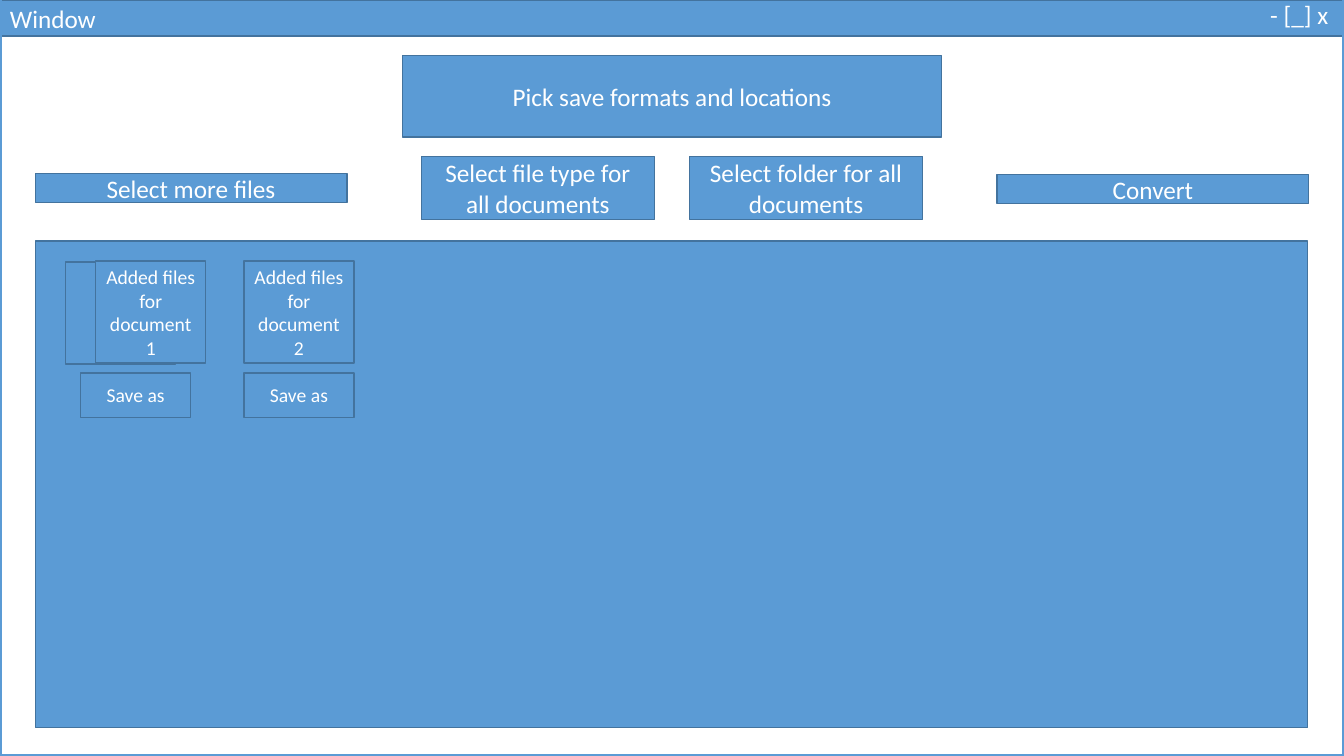
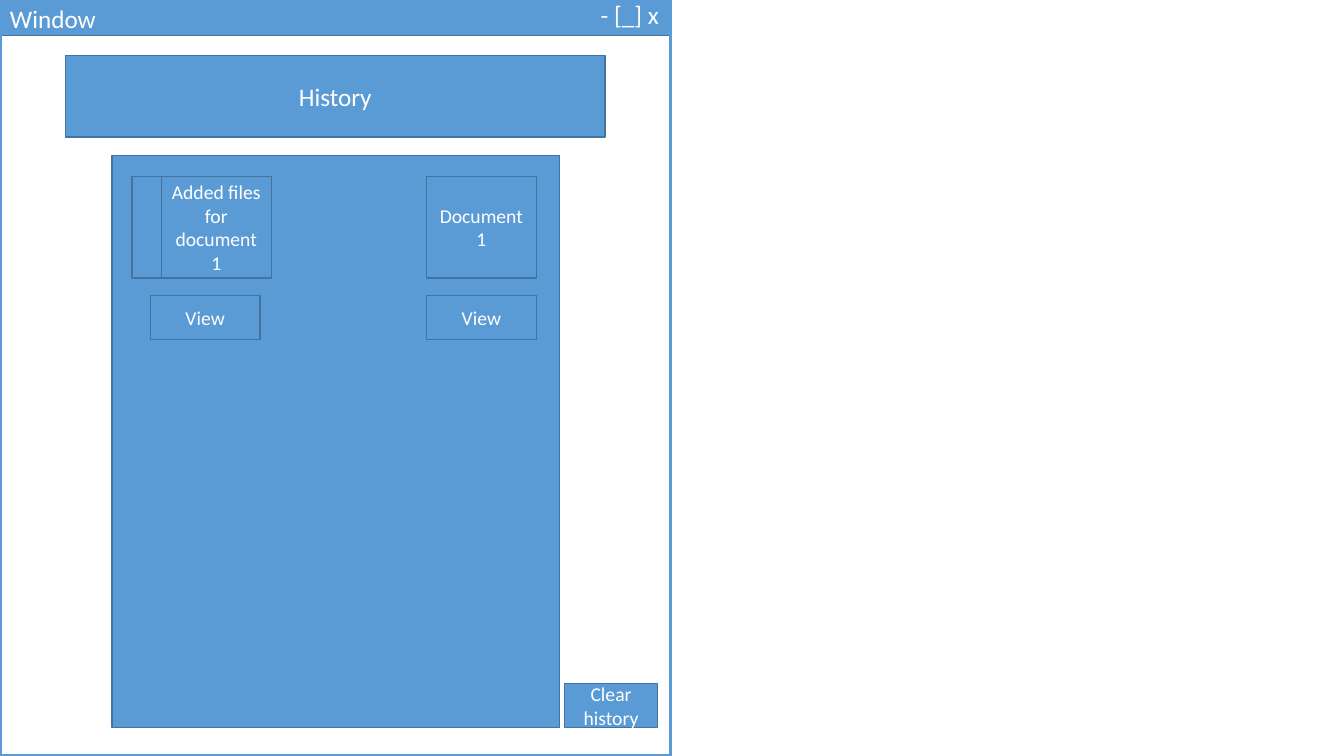
"""Builds two window wireframes: a save-format picker and a history list."""
import pptx
import pptx.util
import pptx.dml.color
import pptx.enum.shapes
import pptx.enum.text

Inches = pptx.util.Inches
Pt = pptx.util.Pt
BLUE, EDGE, WHITE = "5B9BD5", "43739E", "FFFFFF"
FONT, LARGE, SMALL = "Calibri", 18, 14
CARD_W, CARD_H, KEY_H = 1.09, 1.01, 0.44
BAR_H, TOP = 0.36, -0.02


def color(code):
    return pptx.dml.color.RGBColor.from_string(code)


def box(slide, left, top, width, height, text="", size=LARGE):
    shape = slide.shapes.add_shape(
        pptx.enum.shapes.MSO_SHAPE.RECTANGLE,
        Inches(left), Inches(top), Inches(width), Inches(height))
    shape.shadow.inherit = False
    shape.fill.solid()
    shape.fill.fore_color.rgb = color(BLUE)
    shape.line.color.rgb = color(EDGE)
    shape.line.width = Pt(1)
    if text:
        frame = shape.text_frame
        frame.text = text
        frame.word_wrap = True
        frame.vertical_anchor = pptx.enum.text.MSO_ANCHOR.MIDDLE
        para = frame.paragraphs[0]
        para.alignment = pptx.enum.text.PP_ALIGN.CENTER
        font = para.runs[0].font
        font.name, font.size = FONT, Pt(size)
        font.color.rgb = color(WHITE)
    return shape


deck = pptx.Presentation()
deck.slide_width = Inches(13.33)
deck.slide_height = Inches(7.5)

windows = [
    {
        "width": 13.33, "bar": 0, "icons": 12.5,
        "title": (3.99, "Pick save formats and locations"),
        "panel": (0.35, 2.39, 12.62, 4.83),
        "buttons": [
            (0.35, 1.72, 3.09, 0.29, "Select more files"),
            (4.18, 1.55, 2.31, 0.63, "Select file type for all documents"),
            (6.84, 1.55, 2.31, 0.63, "Select folder for all documents"),
            (9.89, 1.73, 3.09, 0.29, "Convert"),
        ],
        "stack": (0.65, 2.6),
        "card_top": 2.59, "key_top": 3.7, "key": "Save as",
        "cards": [
            (0.95, 0.8, "Added files for document 1"),
            (2.42, 2.42, "Added files for document 2"),
        ],
    },
    {
        "width": 6.65, "bar": -0.01, "icons": 5.86,
        "title": (0.65, "History"),
        "panel": (1.11, 1.54, 4.44, 5.68),
        "buttons": [(5.6, 6.78, 0.92, KEY_H, "Clear history", SMALL)],
        "stack": (1.31, 1.75),
        "card_top": 1.75, "key_top": 2.93, "key": "View",
        "cards": [
            (1.6, 1.49, "Added files for document 1"),
            (4.23, 4.23, "Document 1"),
        ],
    },
]

for window in windows:
    slide = deck.slides.add_slide(deck.slide_layouts[6])

    box(slide, 0, window["bar"], window["width"], BAR_H)
    labels = [(0, TOP, 1.31, "Window"),
              (window["icons"], -0.06, 0.83, "- [_] x")]
    for left, top, width, text in labels:
        label = slide.shapes.add_textbox(
            Inches(left), Inches(top), Inches(width), Inches(0.4))
        label.text_frame.word_wrap = True
        label.text_frame.text = text
        font = label.text_frame.paragraphs[0].runs[0].font
        font.name, font.size = FONT, Pt(LARGE)
        font.color.rgb = color(WHITE)

    border = box(slide, 0, TOP, window["width"], 7.52)
    border.fill.background()
    border.line.color.rgb = color(BLUE)
    border.line.width = Pt(2.25)

    left, text = window["title"]
    box(slide, left, 0.55, 5.35, 0.81, text)
    box(slide, *window["panel"])
    for button in window["buttons"]:
        box(slide, *button)

    box(slide, *window["stack"], CARD_W, CARD_H)
    for left, key_left, text in window["cards"]:
        box(slide, left, window["card_top"], CARD_W, CARD_H, text, SMALL)
        box(slide, key_left, window["key_top"], CARD_W, KEY_H,
            window["key"], SMALL)

deck.save("out.pptx")
